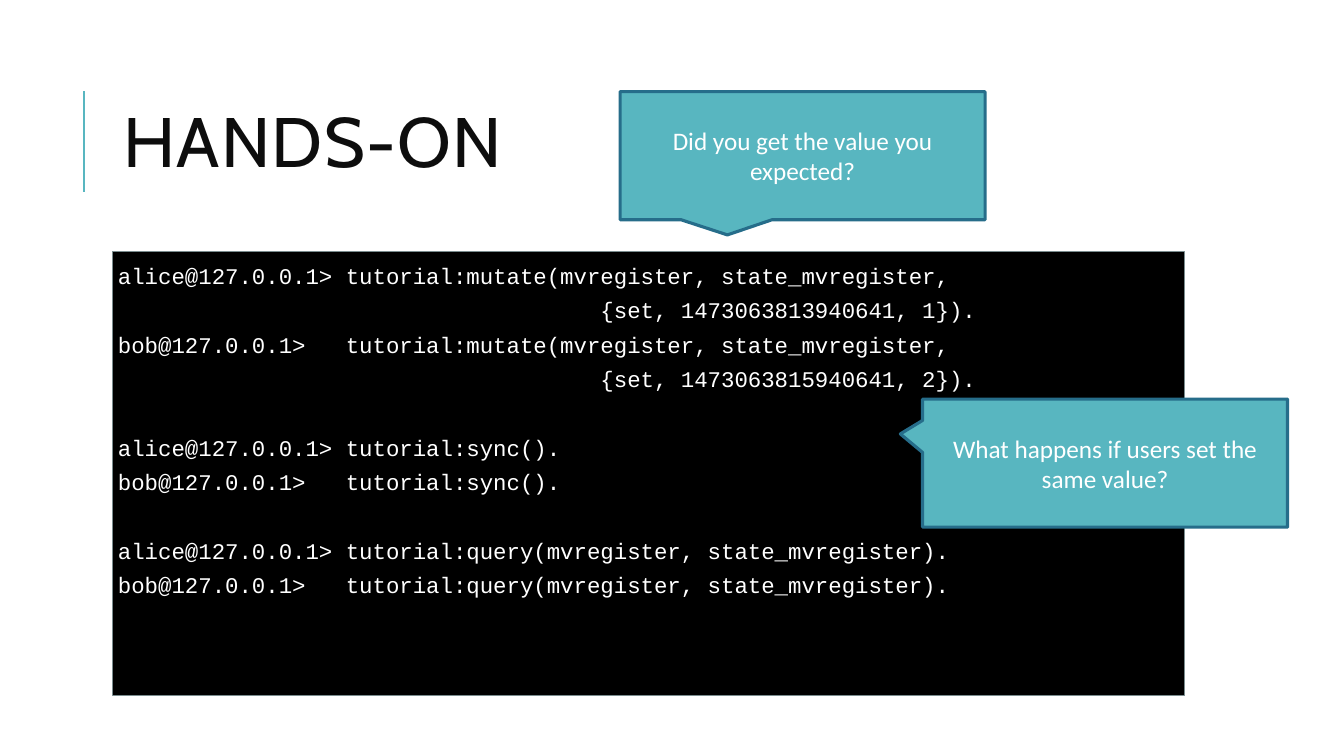
from pptx import Presentation
from pptx.dml.color import RGBColor
from pptx.enum import shapes, text
from pptx.oxml.ns import qn
from pptx.util import Inches, Pt

WHITE = RGBColor(0xFF, 0xFF, 0xFF)
BLACK = RGBColor(0x00, 0x00, 0x00)
INK = RGBColor(0x0D, 0x0D, 0x0D)
TEAL = RGBColor(0x58, 0xB6, 0xC0)
DARK_TEAL = RGBColor(0x26, 0x6D, 0x8A)
GREY = RGBColor(0x7A, 0x8C, 0x8E)

INDENT = " " * 36
CODE_BLOCKS = [
    [
        "alice@127.0.0.1> tutorial:mutate(mvregister, state_mvregister,",
        INDENT + "{set, 1473063813940641, 1}).",
        "bob@127.0.0.1>   tutorial:mutate(mvregister, state_mvregister,",
        INDENT + "{set, 1473063815940641, 2}).",
    ],
    [
        "alice@127.0.0.1> tutorial:sync().",
        "bob@127.0.0.1>   tutorial:sync().",
    ],
    [
        "alice@127.0.0.1> tutorial:query(mvregister, state_mvregister).",
        "bob@127.0.0.1>   tutorial:query(mvregister, state_mvregister).",
    ],
]


def set_font(p, name, size, color):
    for r in p.runs:
        r.font.name = name
        r.font.size = Pt(size)
        r.font.color.rgb = color


def add_box(slide, kind, left, top, width, height, fill, line, line_width):
    sp = slide.shapes.add_shape(
        kind, Inches(left), Inches(top), Inches(width), Inches(height))
    sp.shadow.inherit = False
    sp.fill.solid()
    sp.fill.fore_color.rgb = fill
    sp.line.color.rgb = line
    sp.line.width = Pt(line_width)
    sp.text_frame.word_wrap = True
    return sp


def add_title(slide, title):
    sp = slide.shapes.title
    sp.left, sp.top = Inches(1.12), Inches(0.64)
    sp.width, sp.height = Inches(10.63), Inches(1.64)
    tf = sp.text_frame
    tf.text = title
    tf.vertical_anchor = text.MSO_ANCHOR.MIDDLE
    p = tf.paragraphs[0]
    p.alignment = text.PP_ALIGN.LEFT
    p.line_spacing = 0.8
    set_font(p, "Cabin", 50, INK)
    p.runs[0].font._element.set("spc", "100")


def add_title_rule(slide):
    rule = slide.shapes.add_connector(
        shapes.MSO_CONNECTOR.STRAIGHT,
        Inches(0.83), Inches(1.9), Inches(0.83), Inches(0.9))
    rule.line.color.rgb = TEAL
    rule.line.width = Pt(1.5)
    sp_pr = rule._element.spPr
    sp_pr.append(sp_pr.makeelement(qn("a:effectLst"), {}))


def add_terminal(slide, blocks):
    """Black code panel; blocks are set apart by one line of space."""
    sp = add_box(slide, shapes.MSO_SHAPE.RECTANGLE,
                 1.12, 2.5, 10.63, 4.4, BLACK, GREY, 0.75)
    tf = sp.text_frame
    tf.vertical_anchor = text.MSO_ANCHOR.TOP
    tf.margin_left = tf.margin_right = Inches(0.05)
    tf.margin_top = tf.margin_bottom = Inches(0.05)
    p = None
    for block in blocks:
        for i, line in enumerate(block):
            first = p is None
            p = tf.paragraphs[0] if first else tf.add_paragraph()
            p.text = line
            p.alignment = text.PP_ALIGN.LEFT
            p.line_spacing = 1.18
            p.space_after = Pt(2)
            if i == 0 and not first:
                p.space_before = Pt(24.4)
            set_font(p, "Courier New", 16, WHITE)


def add_callout(slide, left, top, tip, question):
    """Question box; tip is the pointer's offset from the centre."""
    sp = add_box(slide, shapes.MSO_SHAPE.RECTANGULAR_CALLOUT,
                 left, top, 3.62, 1.27, TEAL, DARK_TEAL, 2.25)
    sp.adjustments[0], sp.adjustments[1] = tip
    tf = sp.text_frame
    tf.text = question
    tf.vertical_anchor = text.MSO_ANCHOR.MIDDLE
    p = tf.paragraphs[0]
    p.alignment = text.PP_ALIGN.CENTER
    set_font(p, "Calibri", 18, WHITE)


def main():
    prs = Presentation()
    prs.slide_width, prs.slide_height = Inches(13.33), Inches(7.5)
    slide = prs.slides.add_slide(prs.slide_layouts[5])
    add_title_rule(slide)
    add_title(slide, "HANDS-ON")
    add_terminal(slide, CODE_BLOCKS)
    add_callout(slide, 6.15, 0.91, (-0.206, 0.619),
                "Did you get the value you expected?")
    add_callout(slide, 9.15, 3.96, (-0.561, -0.228),
                "What happens if users set the same value?")
    prs.save("out.pptx")


if __name__ == "__main__":
    main()
